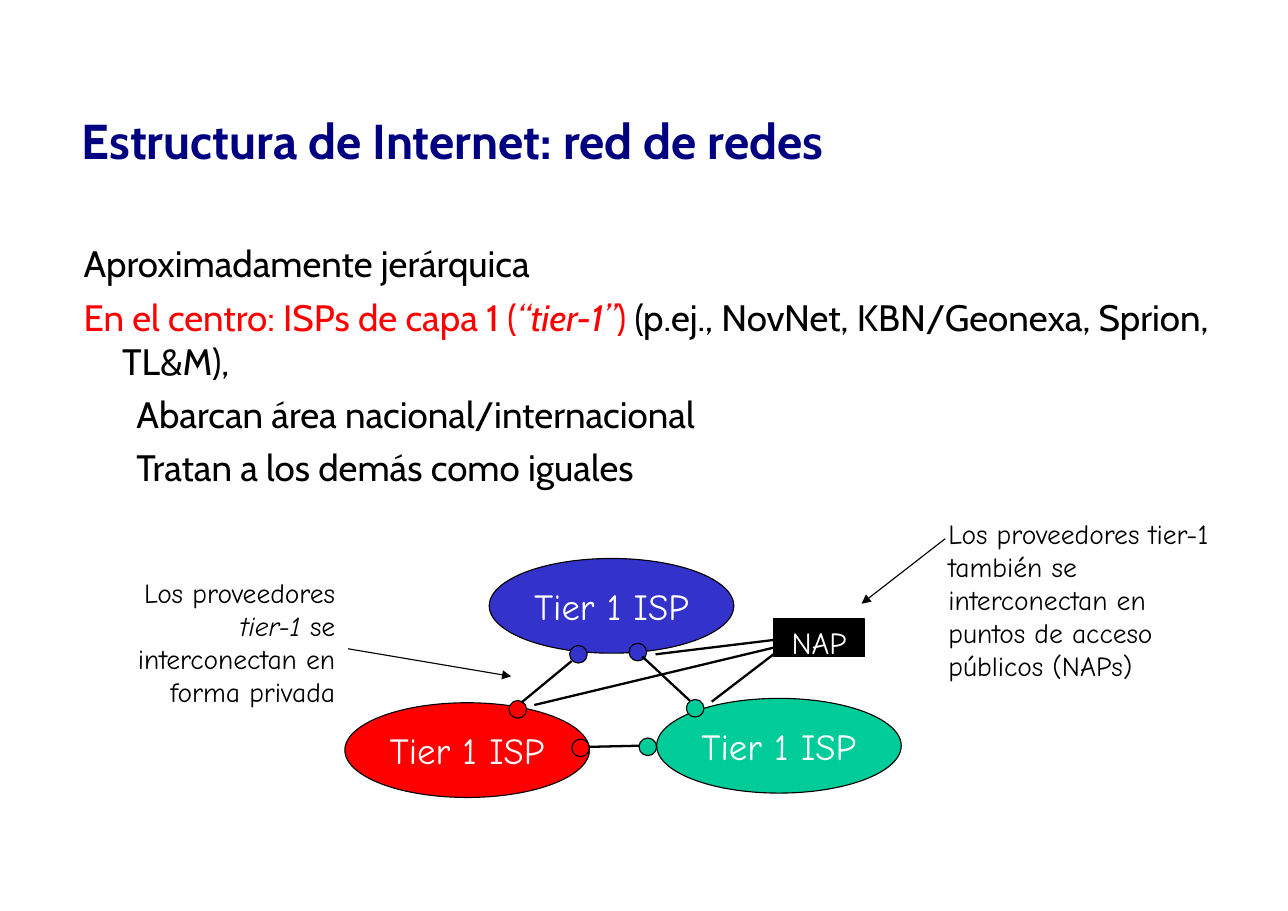
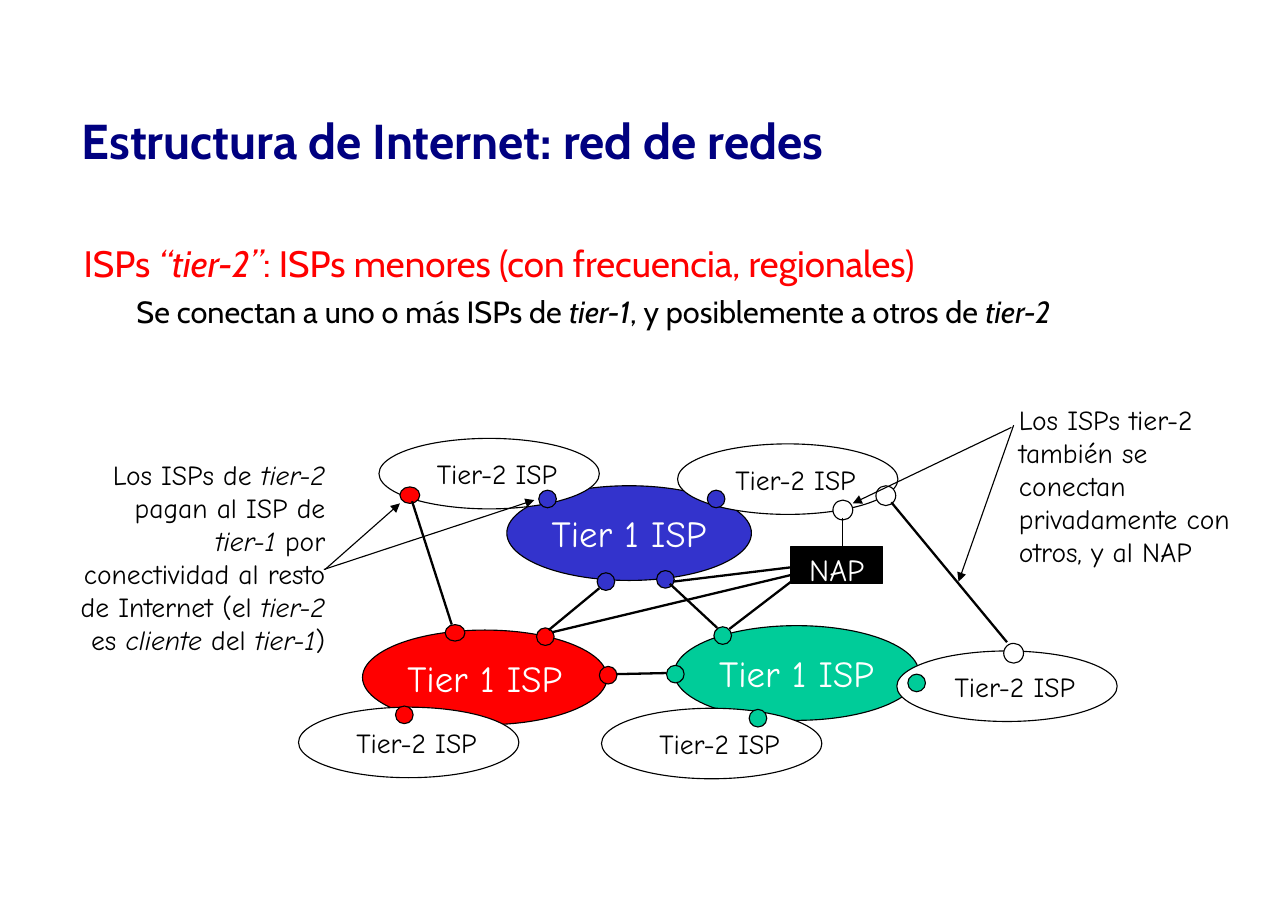
"""Build two slides on the tiered structure of the Internet."""
from lxml.etree import SubElement
from pptx import Presentation
from pptx.dml.color import RGBColor
from pptx.enum.shapes import MSO_CONNECTOR, MSO_SHAPE
from pptx.enum.text import MSO_ANCHOR, MSO_AUTO_SIZE, PP_ALIGN
from pptx.oxml.ns import qn
from pptx.util import Pt

PX = 9144
BLACK, WHITE, NAVY = "000000", "FFFFFF", "000080"
RED, BLUE, GREEN = "FF0000", "3333CC", "00CC99"
SANS, COMIC = "Cabin", "Comic Neue"
OVAL, RECT = MSO_SHAPE.OVAL, MSO_SHAPE.RECTANGLE
LEFT, MID, RIGHT = PP_ALIGN.LEFT, PP_ALIGN.CENTER, PP_ALIGN.RIGHT
TOP = {"vertical_anchor": MSO_ANCHOR.TOP, "word_wrap": True}
INNER = {"vertical_anchor": MSO_ANCHOR.MIDDLE, "word_wrap": False}
SHIFT = {**INNER, "margin_left": 24 * PX}
TAG = {**INNER, "vertical_anchor": MSO_ANCHOR.TOP,
       "margin_top": 4 * PX, "margin_bottom": 0}
MAIN, SUB = (37, -35), (81, -31)


def hue(code):
    return RGBColor.from_string(code)


def write(para, runs, font, size, align=LEFT, bold=False):
    para.alignment = align
    for text, code in runs:
        for i, part in enumerate(text.split("*")):
            if part:
                run = para.add_run()
                run.text = part
                look = {"name": font, "size": Pt(size), "bold": bold, "italic": i % 2 == 1}
                for key, val in look.items():
                    setattr(run.font, key, val)
                run.font.color.rgb = hue(code)


core = [(313, 638, RED), (444, 507, BLUE), (596, 634, GREEN)]
ports = [(623, 635, GREEN), (571, 584, BLUE), (517, 586, BLUE),
         (462, 636, RED), (519, 671, RED), (580, 670, GREEN)]
links = [(535, 678, 580, 677), (583, 596, 626, 636), (473, 638, 519, 600)]
feeds = [(706, 591, 646, 637), (702, 581, 595, 594), (702, 588, 485, 640)]

pages = [
    {
        "move": (0, 0, 0),
        "body": [
            (MAIN, 6, 24, [("Aproximadamente jerárquica", BLACK)]),
            (MAIN, 6, 24, [("En el centro: ISPs de capa 1 (*“tier-1”*) ", RED),
                           ("(p.ej., NovNet, KBN/Geonexa, Sprion, TL&M),", BLACK)]),
            (SUB, 6, 24, [("Abarcan área nacional/internacional", BLACK)]),
            (SUB, 6, 24, [("Tratan a los demás como iguales", BLACK)]),
        ],
        "outer": [],
        "dots": [],
        "lines": [(316, 589, 464, 614, 0.75, True), (858, 489, 782, 548, 0.75, True)],
        "notes": [
            (109, 518, 205, 126, RIGHT,
             "Los proveedores *tier-1* se interconectan en forma privada"),
            (851, 464, 263, 155, LEFT,
             "Los proveedores tier-1 también se interconectan en puntos de acceso públicos (NAPs)"),
        ],
    },
    {
        "move": (16, 25, -66),
        "body": [
            (MAIN, 6, 24, [("ISPs *“tier-2”*: ISPs menores (con frecuencia, regionales)", RED)]),
            (SUB, 5, 20, [("Se conectan a uno o más ISPs de *tier-1*, "
                           "y posiblemente a otros de *tier-2*", BLACK)]),
        ],
        "outer": [(615, 403), (344, 398), (271, 642), (546, 643), (814, 591)],
        "dots": [
            (642, 445, 16, 16, BLUE), (489, 445, 16, 16, BLUE), (359, 641, 16, 16, RED),
            (680, 644, 16, 16, GREEN), (824, 612, 16, 16, GREEN),
            (363, 442, 18, 15, RED), (404, 567, 18, 15, RED),
            (795, 441, 18, 18, WHITE), (911, 584, 18, 18, WHITE), (756, 454, 18, 18, WHITE),
        ],
        "lines": [
            (374, 455, 410, 567, 1.5, False), (809, 456, 914, 583, 1.5, False),
            (765, 470, 765, 497, 0.75, False), (294, 517, 485, 454, 0.75, True),
            (295, 517, 363, 457, 0.75, True), (920, 386, 870, 528, 0.75, True),
            (918, 388, 774, 457, 0.75, True),
        ],
        "notes": [
            (60, 411, 245, 183, RIGHT,
             "Los ISPs de *tier-2 *pagan al ISP de *tier-1* por conectividad al resto "
             "de Internet (el *tier-2* es *cliente* del *tier-1*)"),
            (915, 361, 214, 155, LEFT,
             "Los ISPs tier-2 también se conectan privadamente con otros, y al NAP"),
        ],
    },
]

deck = Presentation()
deck.slide_width, deck.slide_height = 1169 * PX, 827 * PX

for page in pages:
    slide = deck.slides.add_slide(deck.slide_layouts[5])
    shapes = slide.shapes
    title = shapes.title
    box = {"left": 64, "top": 50, "width": 1050, "height": 154}
    for key, val in box.items():
        setattr(title, key, val * PX)
    title.text_frame.auto_size = MSO_AUTO_SIZE.NONE
    title.text_frame.vertical_anchor = MSO_ANCHOR.MIDDLE
    write(title.text_frame.paragraphs[0],
          [("Estructura de Internet: red de redes", NAVY)], SANS, 32, bold=True)

    frame = shapes.add_textbox(64 * PX, 214 * PX, 1050 * PX, 261 * PX).text_frame
    frame.word_wrap = True
    for i, (dent, gap, size, runs) in enumerate(page["body"]):
        para = frame.add_paragraph() if i else frame.paragraphs[0]
        para.space_before = Pt(gap)
        props = para._p.get_or_add_pPr()
        for key, val in zip(("marL", "indent"), dent):
            props.set(key, str(val * PX))
        write(para, runs, SANS, size)

    near, far, drop = page["move"]
    forms = [(OVAL, x + near, y + drop, 222, 86, code, "Tier 1 ISP", 24, WHITE, INNER)
             for x, y, code in core]
    forms += [(OVAL, x + far, y + drop, 16, 16, code, "", 0, BLACK, INNER)
              for x, y, code in ports]
    forms += [(RECT, 702 + near, 562 + drop, 83, 34, BLACK, "NAP", 20, WHITE, TAG)]
    forms += [(OVAL, x, y, 200, 64, WHITE, "Tier-2 ISP", 18, BLACK, SHIFT)
              for x, y in page["outer"]]
    forms += [(OVAL, x, y, w, h, code, "", 0, BLACK, INNER)
              for x, y, w, h, code in page["dots"]]
    for kind, x, y, w, h, code, text, size, ink, fit in forms:
        form = shapes.add_shape(kind, x * PX, y * PX, w * PX, h * PX)
        form.shadow.inherit = False
        form.fill.solid()
        form.fill.fore_color.rgb = hue(code)
        form.line.color.rgb = hue(BLACK)
        form.line.width = Pt(0.75)
        if text:
            for key, val in fit.items():
                setattr(form.text_frame, key, val)
            write(form.text_frame.paragraphs[0], [(text, ink)], COMIC, size, MID)

    lines = [(a + dx, b + drop, c + dx, d + drop, 1.5, False)
             for group, dx in ((links, far), (feeds, near)) for a, b, c, d in group]
    for a, b, c, d, width, arrow in lines + page["lines"]:
        line = shapes.add_connector(MSO_CONNECTOR.STRAIGHT, a * PX, b * PX, c * PX, d * PX)
        line.line.color.rgb = hue(BLACK)
        line.line.width = Pt(width)
        if arrow:
            SubElement(line.line._get_or_add_ln(), qn("a:tailEnd"), type="triangle")
        SubElement(line._element.spPr, qn("a:effectLst"))

    for x, y, w, h, align, text in page["notes"]:
        frame = shapes.add_textbox(x * PX, y * PX, w * PX, h * PX).text_frame
        for key, val in TOP.items():
            setattr(frame, key, val)
        write(frame.paragraphs[0], [(text, BLACK)], COMIC, 18, align)

deck.save("out.pptx")
